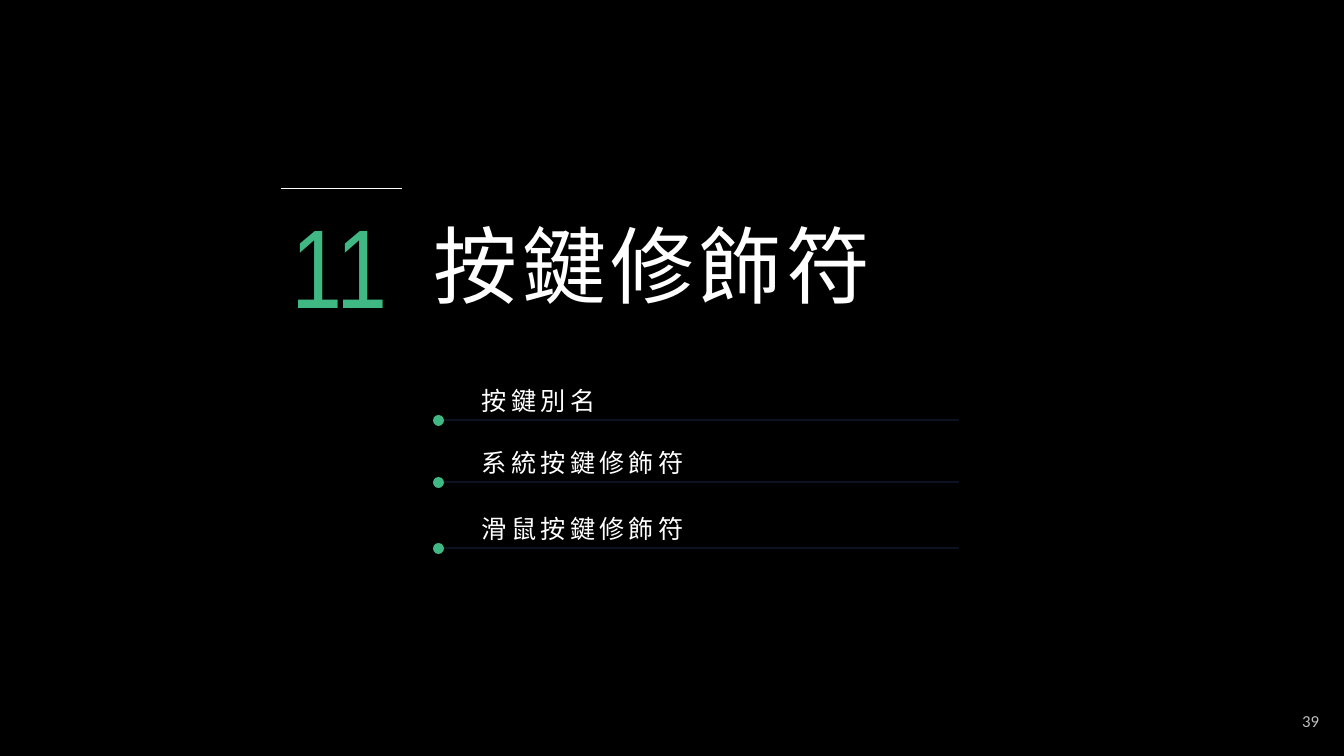
import lxml.etree
import pptx
import pptx.dml.color
import pptx.enum.shapes
import pptx.enum.text
import pptx.oxml.ns
import pptx.util

SCALE = 914400 / 100.8
COLORS = {
    "background": "000000",
    "text": "FFFFFF",
    "accent": "40B883",
    "rule": "4472C4",
    "page": "BFBFBF",
}
CHINESE_FONT = "Noto Sans CJK TC"
ALIGN = pptx.enum.text.PP_ALIGN
ANCHOR = pptx.enum.text.MSO_ANCHOR
TOPICS = [("按鍵別名", 383), ("系統按鍵修飾符", 445), ("滑鼠按鍵修飾符", 511)]


def px(length):
    return pptx.util.Emu(round(length * SCALE))


def color(name):
    return pptx.dml.color.RGBColor.from_string(COLORS[name])


def add_child(parent, tag, **attributes):
    return lxml.etree.SubElement(parent, pptx.oxml.ns.qn(tag), attributes)


def add_text(slide, text, left, top, width, height, size, font=CHINESE_FONT,
             fill="text", align=ALIGN.LEFT, anchor=ANCHOR.TOP,
             tracking=0, line_spacing=None):
    box = slide.shapes.add_textbox(px(left), px(top), px(width), px(height))
    frame = box.text_frame
    frame.word_wrap = True
    frame.vertical_anchor = anchor
    paragraph = frame.paragraphs[0]
    paragraph.alignment = align
    if line_spacing:
        paragraph.line_spacing = pptx.util.Pt(line_spacing)
    run = paragraph.add_run()
    run.text = text
    run.font.name = font
    run.font.size = pptx.util.Pt(size)
    run.font.color.rgb = color(fill)
    properties = run.font._element
    add_child(properties, "a:ea", typeface=font)
    if tracking:
        properties.set("spc", str(tracking * 100))


def add_rule(slide, left, right, y, fill, opacity=100):
    rule = slide.shapes.add_connector(
        pptx.enum.shapes.MSO_CONNECTOR.STRAIGHT, px(left), px(y), px(right), px(y))
    rule.line.width = pptx.util.Pt(0.5)
    rule.line.color.rgb = color(fill)
    properties = rule._element.spPr
    if opacity < 100:
        tone = properties.find(".//" + pptx.oxml.ns.qn("a:srgbClr"))
        add_child(tone, "a:alpha", val=str(opacity * 1000))
    add_child(properties, "a:effectLst")


def add_dot(slide, left, top, diameter):
    dot = slide.shapes.add_shape(
        pptx.enum.shapes.MSO_SHAPE.OVAL, px(left), px(top), px(diameter), px(diameter))
    dot.shadow.inherit = False
    dot.fill.solid()
    dot.fill.fore_color.rgb = color("accent")
    dot.line.fill.background()


def add_topic(slide, text, top):
    add_text(slide, text, 472, top, 354, 38, 18, tracking=3, line_spacing=20)
    add_rule(slide, 439, 959, top + 37, "rule", opacity=50)
    add_dot(slide, 433, top + 32, 11)


def main():
    presentation = pptx.Presentation()
    presentation.slide_width = px(1344)
    presentation.slide_height = px(756)
    slide = presentation.slides.add_slide(presentation.slide_layouts[6])
    slide.background.fill.solid()
    slide.background.fill.fore_color.rgb = color("background")

    add_text(slide, "按鍵修飾符", 424, 209, 556, 112, 60, tracking=3)
    add_rule(slide, 281, 402, 188, "text")
    add_text(slide, "11", 259, 192, 161, 146, 80, font="Arial Narrow",
             fill="accent", align=ALIGN.CENTER)
    for text, top in TOPICS:
        add_topic(slide, text, top)
    add_text(slide, "39", 1027, 701, 302, 40, 12, font="Calibri",
             fill="page", align=ALIGN.RIGHT, anchor=ANCHOR.MIDDLE)
    presentation.save("out.pptx")


if __name__ == "__main__":
    main()
